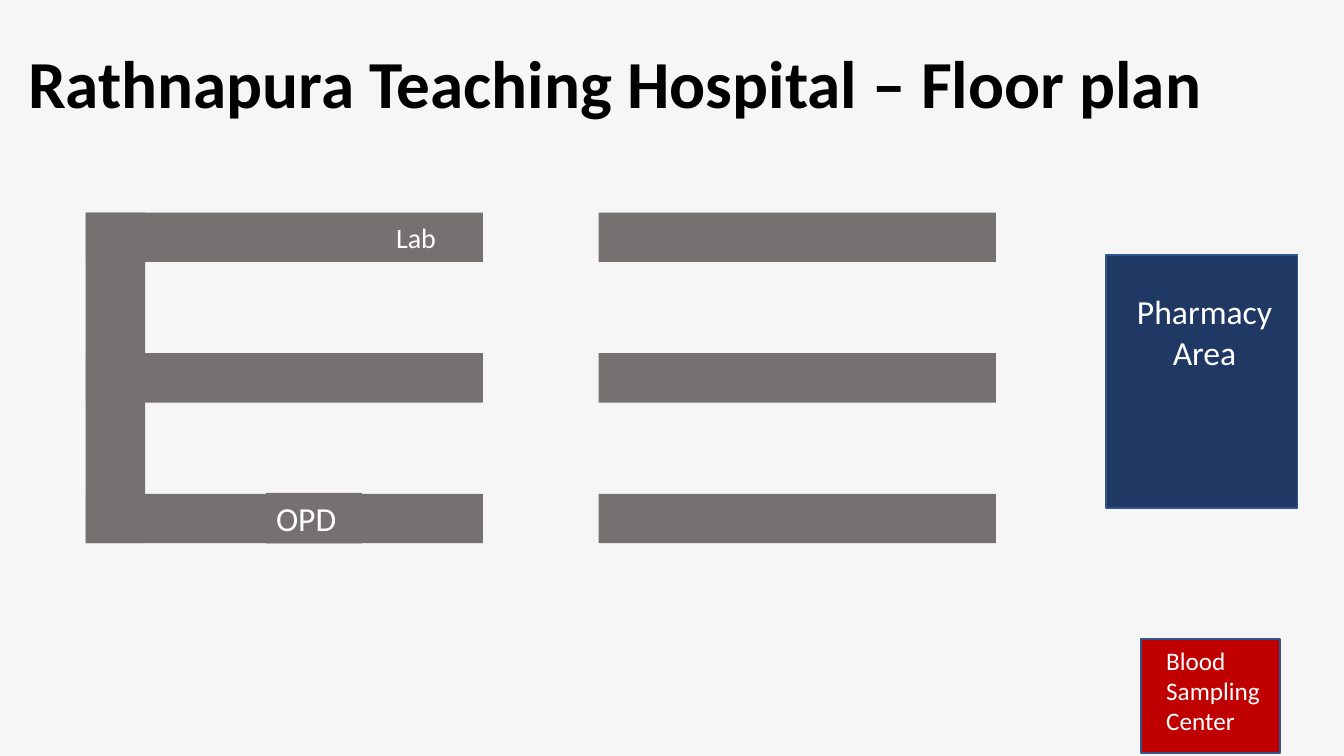
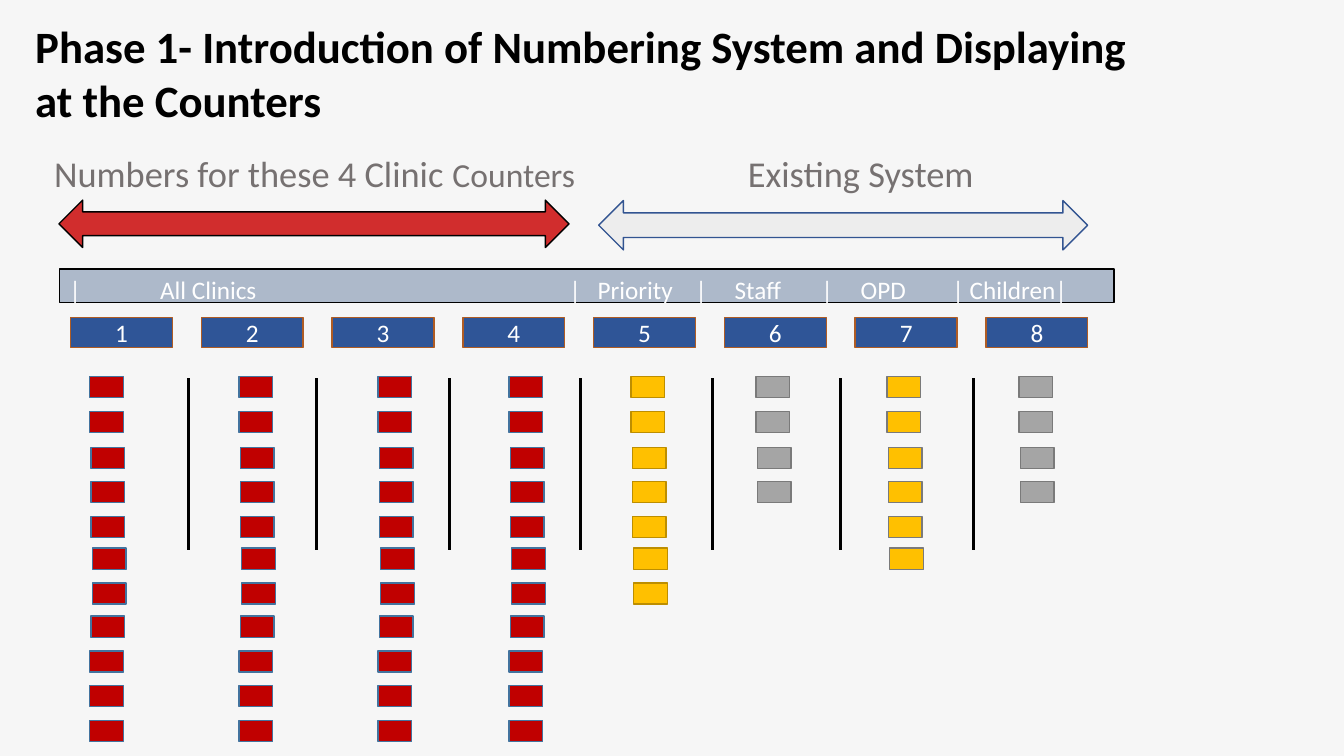
from dataclasses import dataclass

from lxml import etree
from pptx import Presentation
from pptx.dml.color import RGBColor
from pptx.enum.shapes import MSO_CONNECTOR, MSO_SHAPE
from pptx.enum.text import MSO_ANCHOR, PP_ALIGN
from pptx.oxml.ns import qn
from pptx.util import Inches, Pt

RECTANGLE = MSO_SHAPE.RECTANGLE
DOUBLE_ARROW = MSO_SHAPE.LEFT_RIGHT_ARROW
STRAIGHT = MSO_CONNECTOR.STRAIGHT
LEFT, CENTER = PP_ALIGN.LEFT, PP_ALIGN.CENTER
TOP, MIDDLE = MSO_ANCHOR.TOP, MSO_ANCHOR.MIDDLE

SLIDE_WIDTH, SLIDE_HEIGHT = Inches(13.333), Inches(7.5)


@dataclass(frozen=True)
class Theme:
    font: str = "Calibri"
    # Colours
    page: str = "F6F6F6"
    ink: str = "000000"
    white: str = "FFFFFF"
    wing: str = "767171"
    pharmacy: str = "203864"
    outline: str = "325491"
    red: str = "C00000"
    red_edge: str = "43739E"
    amber: str = "FFC000"
    amber_edge: str = "BD8E00"
    gray: str = "A5A5A5"
    gray_edge: str = "7A7A7A"
    arrow_red: str = "D12D2D"
    arrow_pale: str = "EDEDED"
    bar: str = "ADB9CA"
    counter: str = "2F5597"
    counter_edge: str = "AF5C24"
    # Type sizes
    title: int = 48
    long_title: int = 32
    caption: int = 26
    label: int = 24
    small_label: int = 20
    note: int = 18


THEME = Theme()

# Bar labels: start of each piece, in percent of the slide width from the text edge
BAR_LABELS = [(0, "|"), (6.75, "All Clinics"), (37.2, "|"), (39.3, "Priority"),
              (46.58, "|"), (49.5, "Staff"), (55.95, "|"), (58.88, "OPD"),
              (65.7, "| Children|")]

# Queue columns: left edge, number of people, fill, outline
QUEUES = [(6.68, 11, THEME.red, THEME.red_edge),
          (17.78, 11, THEME.red, THEME.red_edge),
          (28.13, 11, THEME.red, THEME.red_edge),
          (37.88, 11, THEME.red, THEME.red_edge),
          (46.95, 7, THEME.amber, THEME.amber_edge),
          (56.25, 4, THEME.gray, THEME.gray_edge),
          (66, 6, THEME.amber, THEME.gray_edge),
          (75.83, 4, THEME.gray, THEME.gray_edge)]

# Queue rows: sideways shift and top
QUEUE_ROWS = [(0, 49.8), (0, 54.4), (0.1, 59.2), (0.1, 63.7), (0.1, 68.3),
              (0.2, 72.5), (0.2, 77.1), (0.1, 81.5), (0, 86.1), (0, 90.7), (0, 95.3)]

DIVIDERS = [14.03, 23.55, 33.45, 43.2, 53.03, 62.55, 72.45]


# Geometry: all lengths are percentages of the slide
def across(share):
    return round(SLIDE_WIDTH * share / 100)


def down(share):
    return round(SLIDE_HEIGHT * share / 100)


def place(area):
    left, top, width, height = area
    return across(left), down(top), across(width), down(height)


def color(code):
    return RGBColor.from_string(code)


# Elements
def add_page(deck):
    page = deck.slides.add_slide(deck.slide_layouts[6])
    page.background.fill.solid()
    page.background.fill.fore_color.rgb = color(THEME.page)
    return page


def style_font(font, size, ink, bold=False):
    font.name, font.size, font.bold = THEME.font, Pt(size), bold
    font.color.rgb = color(ink)


def write(box, text, size, ink=THEME.white, align=LEFT, anchor=TOP, bold=False):
    frame = box.text_frame
    frame.word_wrap = True
    frame.vertical_anchor = anchor
    para = frame.paragraphs[0]
    para.text = text
    para.alignment = align
    style_font(para.font, size, ink, bold)


def add_text(page, area, text, size, ink=THEME.white, align=LEFT, bold=False):
    box = page.shapes.add_textbox(*place(area))
    write(box, text, size, ink, align, bold=bold)
    return box


def add_title(page, area, text, size):
    add_text(page, area, text, size, THEME.ink, bold=True)


def add_block(page, area, fill, edge=None, kind=RECTANGLE):
    block = page.shapes.add_shape(kind, *place(area))
    block.shadow.inherit = False
    block.fill.solid()
    block.fill.fore_color.rgb = color(fill)
    if edge:
        block.line.color.rgb = color(edge)
        block.line.width = Pt(1)
    else:
        block.line.fill.background()
    return block


def add_divider(page, left, top, bottom):
    line = page.shapes.add_connector(STRAIGHT, across(left), down(top),
                                     across(left), down(bottom))
    line.line.color.rgb = color(THEME.ink)
    line.line.width = Pt(2.25)
    etree.SubElement(line._element.spPr, qn("a:effectLst"))


def add_caption(page, area, spans):
    box = page.shapes.add_textbox(*place(area))
    box.text_frame.word_wrap = True
    para = box.text_frame.paragraphs[0]
    para.alignment = CENTER
    for text, size in spans:
        span = para.add_run()
        span.text = text
        style_font(span.font, size, THEME.wing)


def add_label_bar(page, area, labels):
    bar = add_block(page, area, THEME.bar, THEME.ink)
    properties = bar.text_frame.paragraphs[0]._p.get_or_add_pPr()
    stops = etree.SubElement(properties, qn("a:tabLst"))
    for start, _ in labels[1:]:
        etree.SubElement(stops, qn("a:tab"), pos=str(across(start)), algn="l")
    write(bar, "\t".join(text for _, text in labels), THEME.note)


def add_counters(page, count, left, pitch):
    for index in range(count):
        counter = add_block(page, (left + index * pitch, 42, 7.58, 4),
                            THEME.counter, THEME.counter_edge)
        counter.text_frame.margin_top = counter.text_frame.margin_bottom = 0
        write(counter, str(index + 1), THEME.note, align=CENTER, anchor=MIDDLE)


def add_queue(page, left, count, fill, edge):
    for shift, top in QUEUE_ROWS[:count]:
        add_block(page, (left + shift, top, 2.5, 2.8), fill, edge)


# Slides
def build_floor_plan(deck):
    page = add_page(deck)
    # Hospital wings, joined by a corridor on the left
    left, top, pitch, depth = 6.38, 28.13, 18.6, 6.53
    for row in range(3):
        for wing_left in (left, 44.55):
            add_block(page, (wing_left, top + row * pitch, 29.55, depth), THEME.wing)
    add_block(page, (left, top, 4.43, 2 * pitch + depth), THEME.wing)
    for area, name, size in [((19.8, 65.2, 7.13, 6.67), "OPD", THEME.label),
                             ((28.73, 28.53, 6.3, 5.87), "Lab", THEME.small_label)]:
        write(add_block(page, area, THEME.wing), name, size)
    add_title(page, (1.35, 4.8, 94.58, 12.13),
              "Rathnapura Teaching Hospital – Floor plan", THEME.title)
    # Separate buildings
    add_block(page, (84.9, 84.53, 10.35, 15.07), THEME.red, THEME.outline)
    add_text(page, (86.03, 84.67, 11.85, 15), "Blood Sampling Center", THEME.note)
    add_block(page, (82.28, 33.73, 14.25, 33.47), THEME.pharmacy, THEME.outline)
    add_text(page, (82.05, 37.87, 15.15, 12.13), "Pharmacy Area", THEME.label,
             align=CENTER)


def build_numbering(deck):
    page = add_page(deck)
    # Arrows spanning the two systems
    add_block(page, (4.39, 26.47, 37.95, 6.27), THEME.arrow_red, THEME.ink, DOUBLE_ARROW)
    add_caption(page, (1.43, 19.33, 43.95, 7.2),
                [("Numbers for these 4 Clinic ", THEME.caption),
                 ("Counters", THEME.label)])
    add_block(page, (44.55, 26.53, 36.38, 6.53), THEME.arrow_pale, THEME.outline,
              DOUBLE_ARROW)
    add_caption(page, (42.38, 19.33, 43.35, 7.2), [("Existing System", THEME.caption)])
    add_title(page, (1.88, 1.87, 85.5, 15.73),
              "Phase 1- Introduction of Numbering System and Displaying at the Counters",
              THEME.long_title)
    # Counters and the queues before them
    add_label_bar(page, (4.43, 35.6, 78.45, 4.4), BAR_LABELS)
    add_counters(page, len(QUEUES), 5.25, 9.73)
    for left in DIVIDERS:
        add_divider(page, left, 50, 72.8)
    for queue in QUEUES:
        add_queue(page, *queue)


def main():
    deck = Presentation()
    deck.slide_width, deck.slide_height = SLIDE_WIDTH, SLIDE_HEIGHT
    build_floor_plan(deck)
    build_numbering(deck)
    deck.save("out.pptx")


if __name__ == "__main__":
    main()
